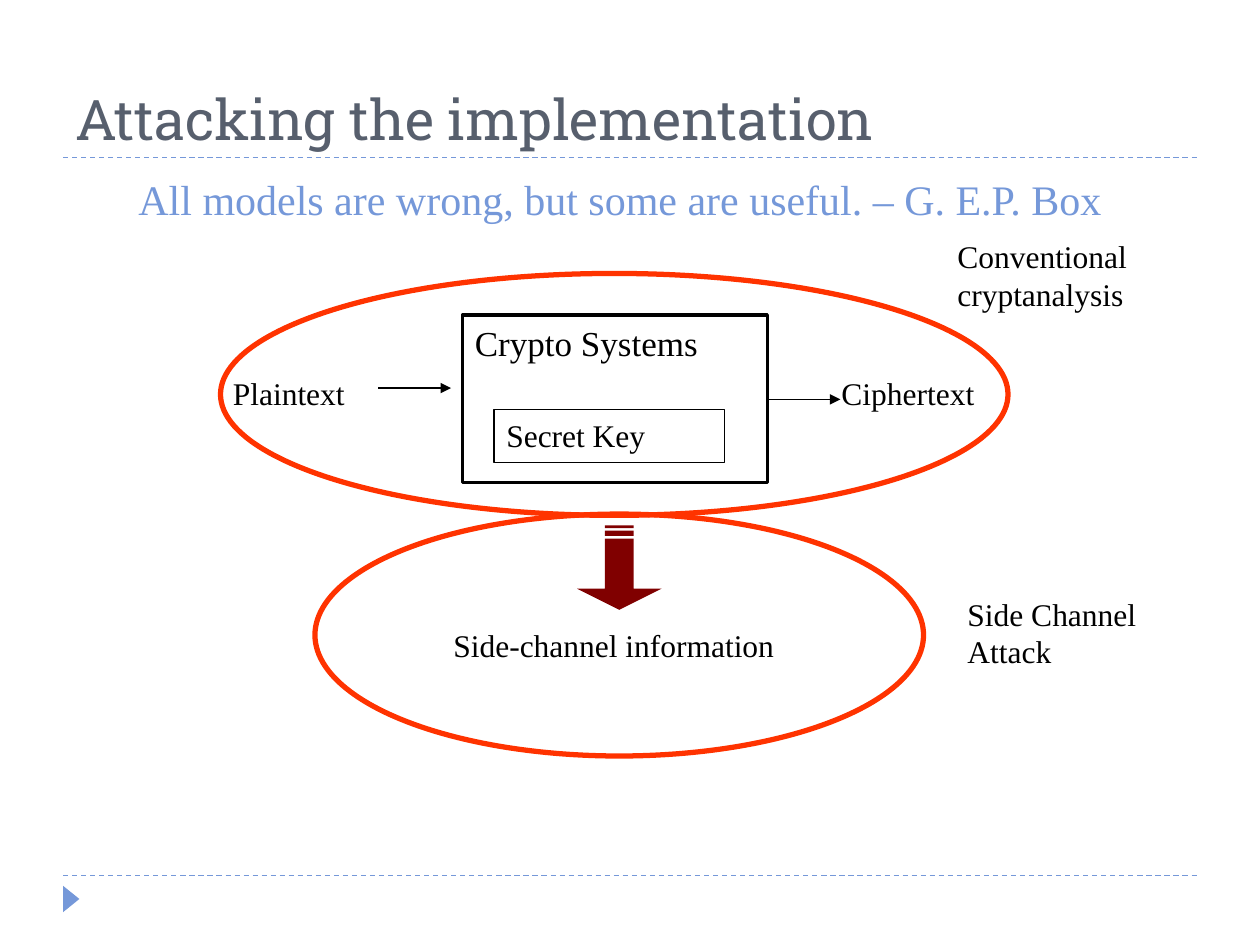
from pptx import Presentation
from pptx.dml.color import RGBColor
from pptx.enum.dml import MSO_LINE_DASH_STYLE as Dash
from pptx.enum.shapes import MSO_CONNECTOR, MSO_SHAPE as Shape
from pptx.enum.text import MSO_ANCHOR as Anchor, PP_ALIGN as Align
from pptx.oxml.ns import qn
from pptx.util import Inches, Pt
from lxml.etree import SubElement

BLUE = RGBColor(0x75, 0x98, 0xD9)
SLATE = RGBColor(0x57, 0x5F, 0x6D)
RED = RGBColor(0xFF, 0x33, 0x00)
MAROON = RGBColor(0x80, 0x00, 0x00)
BLACK = RGBColor(0x00, 0x00, 0x00)
BODY_FONT = "Times New Roman"
TITLE_FONT = "Roboto Slab"


def write(shape, text, size=18, color=BLACK, font=BODY_FONT, anchor=Anchor.TOP):
    frame = shape.text_frame
    frame.word_wrap = True
    frame.vertical_anchor = anchor
    para = frame.paragraphs[0]
    para.text = text
    para.alignment = Align.LEFT
    para.font.name = font
    para.font.size = Pt(size)
    para.font.color.rgb = color
    return para


def add_text(page, bounds, text, **style):
    box = page.shapes.add_textbox(*map(Inches, bounds))
    return write(box, text, **style)


def add_outline(page, kind, bounds, color, width):
    shape = page.shapes.add_shape(kind, *map(Inches, bounds))
    shape.shadow.inherit = False
    shape.fill.background()
    shape.line.color.rgb = color
    shape.line.width = Pt(width)
    return shape


def add_solid(page, kind, bounds, color, rotation):
    shape = page.shapes.add_shape(kind, *map(Inches, bounds))
    shape.shadow.inherit = False
    shape.fill.solid()
    shape.fill.fore_color.rgb = color
    shape.line.fill.background()
    shape.rotation = rotation
    return shape


def add_level_line(page, left, right, y, color):
    line = page.shapes.add_connector(
        MSO_CONNECTOR.STRAIGHT, Inches(left), Inches(y), Inches(right), Inches(y))
    line.line.color.rgb = color
    line.line.width = Pt(0.75)
    SubElement(line._element.spPr, qn("a:effectLst"))
    return line


def add_rule(page, y):
    add_level_line(page, 0.5, 9.5, y, BLUE).line.dash_style = Dash.DASH


def add_arrow(page, left, right, y):
    arrow = add_level_line(page, left, right, y, BLACK)
    SubElement(arrow.line._get_or_add_ln(), qn("a:tailEnd"), type="triangle")


def add_frame(page):
    for y in (6.95, 1.25):
        add_rule(page, y)
    add_solid(page, Shape.ISOSCELES_TRIANGLE, (0.46, 7.07, 0.21, 0.13), BLUE, 90)
    add_text(page, (0.5, 0.17, 9, 1.08), "Attacking the implementation",
             size=32, color=SLATE, font=TITLE_FONT, anchor=Anchor.BOTTOM)


def add_quote(page):
    quote = add_text(page, (0.5, 1.33, 8.92, 0.5),
                     "All models are wrong, but some are useful. – G. E.P. Box",
                     size=24, color=BLUE)
    properties = quote._p.get_or_add_pPr()
    properties.set("marL", str(Inches(0.81)))
    properties.set("indent", str(Inches(-0.31)))


def add_diagram(page):
    for bounds in ((1.75, 2.17, 6.25, 1.92), (2.5, 4.08, 4.83, 1.92)):
        add_outline(page, Shape.OVAL, bounds, RED, 3)

    system = add_outline(page, Shape.RECTANGLE, (3.67, 2.5, 2.42, 1.33), BLACK, 2)
    write(system, "Crypto Systems", size=20)
    key = add_outline(page, Shape.RECTANGLE, (3.92, 3.25, 1.83, 0.42), BLACK, 1)
    write(key, "Secret Key")

    labels = (
        ("Conventional cryptanalysis", (7.5, 1.83, 2.17, 0.7)),
        ("Side Channel Attack", (7.58, 4.67, 2.17, 0.7)),
        ("Plaintext", (1.75, 2.92, 1.17, 0.4)),
        ("Ciphertext", (6.58, 2.92, 1.42, 0.4)),
        ("Side-channel information", (3.5, 4.92, 3.17, 0.4)),
    )
    for text, bounds in labels:
        add_text(page, bounds, text)

    add_arrow(page, 3, 3.58, 3.08)
    add_arrow(page, 6.08, 6.67, 3.17)
    leak = add_solid(page, Shape.STRIPED_RIGHT_ARROW,
                     (4.58, 4.17, 0.67, 0.67), MAROON, 90)
    leak.adjustments[0] = 0.34
    leak.adjustments[1] = 0.25


def main():
    deck = Presentation()
    deck.slide_width, deck.slide_height = Inches(10), Inches(7.5)
    page = deck.slides.add_slide(deck.slide_layouts[6])
    add_frame(page)
    add_quote(page)
    add_diagram(page)
    deck.save("out.pptx")


if __name__ == "__main__":
    main()
